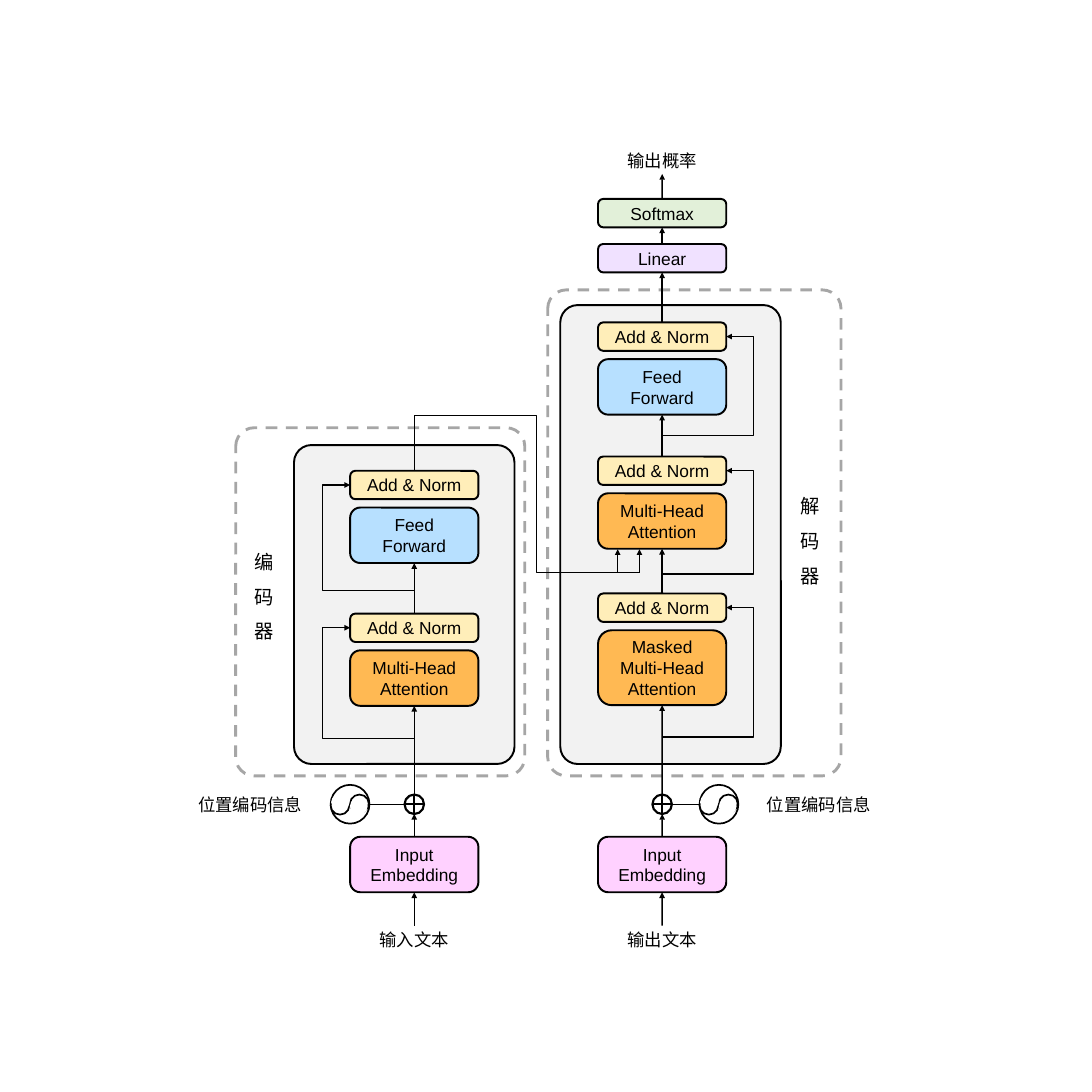
"""Build a slide showing the Transformer encoder and decoder."""
import dataclasses
import typing

import pptx
import pptx.dml.color
import pptx.enum.dml
import pptx.enum.shapes
import pptx.enum.text
import pptx.oxml.ns
import pptx.util
from lxml import etree

Pt = pptx.util.Pt
qn = pptx.oxml.ns.qn
Kind = pptx.enum.shapes.MSO_SHAPE
Link = pptx.enum.shapes.MSO_CONNECTOR

BLACK, WHITE, GREY, PALE = "000000", "FFFFFF", "A6A6A6", "F2F2F2"
BLUE, YELLOW, ORANGE, PINK = "B7E0FF", "FFEEB9", "FFB953", "FFD1FF"
PURPLE, GREEN = "F0E1FF", "E2F0D9"
LATIN, CHINESE = "Arial", "Noto Sans CJK SC"
ENCODER_X, DECODER_X = 430.2, 687.6
BOX_WIDTH, LOW, TALL, TALLEST = 133.2, 29.5, 57.6, 77.8
NORM_STEP, DETOUR = 38.2, 95
EMBEDDING_TOP, SUM_TOP, SUM_SIZE, SUM_Y = 869, 825.1, 20.2, 835.2
WAVE_SIZE = 40.3


@dataclasses.dataclass
class Panel:
    left: float
    top: float
    width: float
    height: float
    radius: float
    fill: str
    line: str
    weight: float
    dashed: bool = False


@dataclasses.dataclass
class Layer:
    norm_top: float
    text: str
    fill: str
    height: float
    branch_y: float


@dataclasses.dataclass
class Stack:
    center: float
    side: int
    layers: list[Layer]
    caption: str
    wave_left: float


@dataclasses.dataclass
class Label:
    text: str
    left: float
    top: float
    width: float
    height: float = 28.8
    size: float = 18
    spacing: float = 1


PANELS = [
    Panel(568.8, 301, 304.6, 504.7, 0.064, WHITE, GREY, 3, True),
    Panel(244.8, 444.2, 300.2, 361.5, 0.064, WHITE, GREY, 3, True),
    Panel(305.3, 462.2, 229, 331.2, 0.079, PALE, BLACK, 2),
    Panel(581.8, 316.8, 229, 476.6, 0.079, PALE, BLACK, 2),
]
STACKS = [
    Stack(ENCODER_X, -1, [
        Layer(637.2, "Multi-Head\nAttention", ORANGE, TALL, 766.8),
        Layer(488.9, "Feed\nForward", BLUE, TALL, 613.4),
    ], "输入文本", 343.4),
    Stack(DECODER_X, 1, [
        Layer(616.3, "Masked\nMulti-Head\nAttention", ORANGE, TALLEST, 765.4),
        Layer(474.1, "Multi-Head\nAttention", ORANGE, TALL, 596.2),
        Layer(334.8, "Feed\nForward", BLUE, TALL, 452.2),
    ], "输出文本", 726.5),
]
LABELS = [
    Label("位置编码信息", 198, 820.8, 123.8),
    Label("位置编码信息", 788.4, 820.8, 123.8),
    Label("编\n码\n器", 257, 555.8, 34.6, 116.6, 20, 1.5),
    Label("解\n码\n器", 824.4, 498.2, 34.6, 116.6, 20, 1.5),
]
WAVE = [
    (0, 0, WAVE_SIZE, WAVE_SIZE, BLACK),
    (20.2, 10.1, 19.4, 18.7, BLACK),
    (0, 12.2, 19.4, 18.7, BLACK),
    (1.4, 10.1, 17.3, 15.8, WHITE),
    (20.9, 14.4, 16.6, 15.8, WHITE),
]


def color(value: str) -> pptx.dml.color.RGBColor:
    return pptx.dml.color.RGBColor.from_string(value)


def add_outline(shapes: typing.Any, kind: Kind, left: float, top: float, width: float,
                height: float, fill: str, line: str, weight: float) -> typing.Any:
    shape = shapes.add_shape(kind, Pt(left), Pt(top), Pt(width), Pt(height))
    shape.shadow.inherit = False
    shape.fill.solid()
    shape.fill.fore_color.rgb = color(fill)
    shape.line.color.rgb = color(line)
    shape.line.width = Pt(weight)
    return shape


def write(box: typing.Any, text: str, font: str, size: float = 18, spacing: float = 1) -> None:
    box.text_frame.text = text
    for para in box.text_frame.paragraphs:
        para.alignment = pptx.enum.text.PP_ALIGN.CENTER
        para.line_spacing = spacing
        para.font.name = font
        para.font.size = Pt(size)
        para.font.color.rgb = color(BLACK)
        if font == CHINESE:
            properties = para._p.pPr.find(qn("a:defRPr"))
            etree.SubElement(properties, qn("a:ea"), typeface=font)


def add_panel(page: typing.Any, panel: Panel) -> None:
    shape = add_outline(page.shapes, Kind.ROUNDED_RECTANGLE, panel.left, panel.top, panel.width,
                        panel.height, panel.fill, panel.line, panel.weight)
    shape.adjustments[0] = panel.radius
    if panel.dashed:
        shape.line.dash_style = pptx.enum.dml.MSO_LINE.DASH


def add_box(page: typing.Any, center: float, top: float, height: float, fill: str,
            text: str) -> typing.Any:
    box = add_outline(page.shapes, Kind.ROUNDED_RECTANGLE, center - BOX_WIDTH / 2, top,
                      BOX_WIDTH, height, fill, BLACK, 2)
    box.adjustments[0] = 0.183
    box.text_frame.word_wrap = True
    box.text_frame.vertical_anchor = pptx.enum.text.MSO_ANCHOR.MIDDLE
    write(box, text, LATIN)
    return box


def add_label(page: typing.Any, label: Label) -> typing.Any:
    box = page.shapes.add_textbox(Pt(label.left), Pt(label.top), Pt(label.width), Pt(label.height))
    box.text_frame.word_wrap = False
    box.text_frame.auto_size = pptx.enum.text.MSO_AUTO_SIZE.SHAPE_TO_FIT_TEXT
    write(box, label.text, CHINESE, label.size, label.spacing)
    return box


def add_link(page: typing.Any, start: tuple[float, float], end: tuple[float, float],
             arrow: bool = True, bend: float | None = None) -> typing.Any:
    kind = Link.STRAIGHT if bend is None else Link.ELBOW
    link = page.shapes.add_connector(kind, *(Pt(value) for value in (*start, *end)))
    link.line.color.rgb = color(BLACK)
    link.line.width = Pt(1.5)
    if arrow:
        etree.SubElement(link.line._get_or_add_ln(), qn("a:tailEnd"), type="triangle")
    etree.SubElement(link._element.spPr, qn("a:effectLst"))
    if bend is not None:
        guides = link._element.spPr.find(qn("a:prstGeom")).find(qn("a:avLst"))
        etree.SubElement(guides, qn("a:gd"), name="adj1", fmla=f"val {round(bend * 100000)}")
    return link


def add_rise(page: typing.Any, lower: typing.Any, upper: typing.Any) -> None:
    link = add_link(page, (0, 0), (0, 0))
    link.begin_connect(lower, 0)
    link.end_connect(upper, 2)


def add_wave(page: typing.Any, left: float) -> None:
    group = page.shapes.add_group_shape()
    for across, down, width, height, line in WAVE:
        add_outline(group.shapes, Kind.OVAL, left + across, SUM_Y - WAVE_SIZE / 2 + down,
                    width, height, WHITE, line, 1.75)


def add_stack(page: typing.Any, stack: Stack) -> typing.Any:
    center, side = stack.center, stack.side
    caption = add_label(page, Label(stack.caption, center - 43.55, 961.2, 87.1))
    embedding = add_box(page, center, EMBEDDING_TOP, TALL, PINK, "Input\nEmbedding")
    add_wave(page, stack.wave_left)
    below = add_outline(page.shapes, Kind.FLOWCHART_OR, center - SUM_SIZE / 2, SUM_TOP,
                        SUM_SIZE, SUM_SIZE, WHITE, BLACK, 2.25)
    add_rise(page, caption, embedding)
    link = add_link(page, (center, EMBEDDING_TOP), (center, SUM_TOP + SUM_SIZE))
    link.begin_connect(embedding, 0)
    wave_edge = stack.wave_left + (WAVE_SIZE if side < 0 else 0)
    add_link(page, (wave_edge, SUM_Y), (center + side * SUM_SIZE / 2, SUM_Y), arrow=False)
    for layer in stack.layers:
        box = add_box(page, center, layer.norm_top + NORM_STEP, layer.height, layer.fill, layer.text)
        norm = add_box(page, center, layer.norm_top, LOW, YELLOW, "Add & Norm")
        add_rise(page, below, box)
        add_link(page, (center, layer.branch_y),
                 (center + side * BOX_WIDTH / 2, layer.norm_top + LOW / 2),
                 bend=DETOUR / (BOX_WIDTH / 2))
        below = norm
    return below


def main() -> None:
    deck = pptx.Presentation()
    deck.slide_width = deck.slide_height = Pt(1134)
    page = deck.slides.add_slide(deck.slide_layouts[6])
    for panel in PANELS:
        add_panel(page, panel)
    encoder_top, decoder_top = [add_stack(page, stack) for stack in STACKS]
    for label in LABELS:
        add_label(page, label)

    linear = add_box(page, DECODER_X, 253.4, LOW, PURPLE, "Linear")
    softmax = add_box(page, DECODER_X, 206.6, LOW, GREEN, "Softmax")
    result = add_label(page, Label("输出概率", DECODER_X - 43.55, 151.9, 87.1))
    for lower, upper in [(decoder_top, linear), (linear, softmax), (softmax, result)]:
        add_rise(page, lower, upper)

    bridge_top, bridge_bottom, bridge_x, bridge_end = 431.3, 594.7, 557.3, 664
    exit_line = add_link(page, (ENCODER_X, 488.9), (ENCODER_X, bridge_top), arrow=False)
    exit_line.begin_connect(encoder_top, 0)
    add_link(page, (ENCODER_X, bridge_top), (bridge_end, bridge_bottom), arrow=False,
             bend=(bridge_x - ENCODER_X) / (bridge_end - ENCODER_X))
    for entry_x in (641.5, bridge_end):
        add_link(page, (entry_x, bridge_bottom), (entry_x, 570.4))
    deck.save("out.pptx")


if __name__ == "__main__":
    main()
